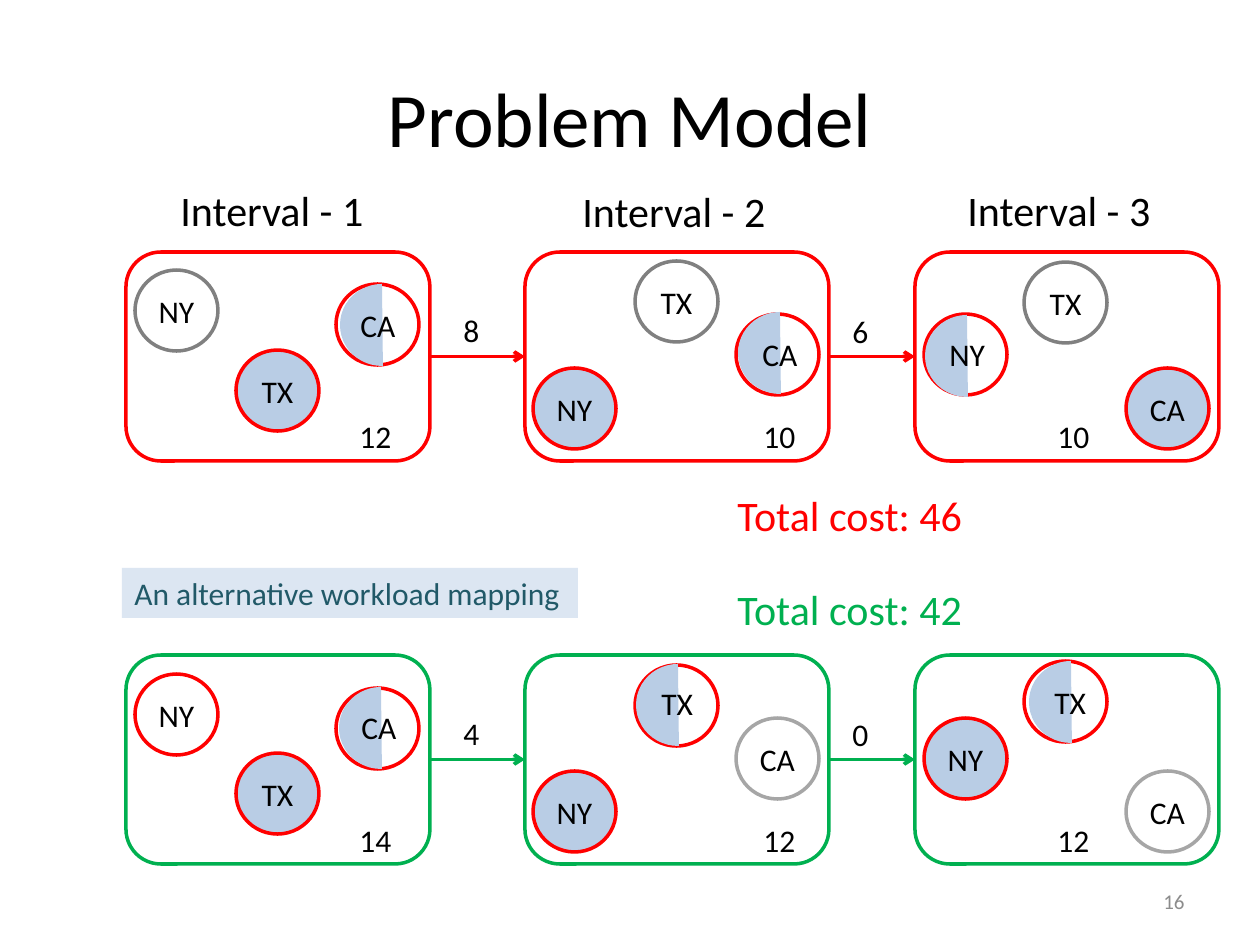
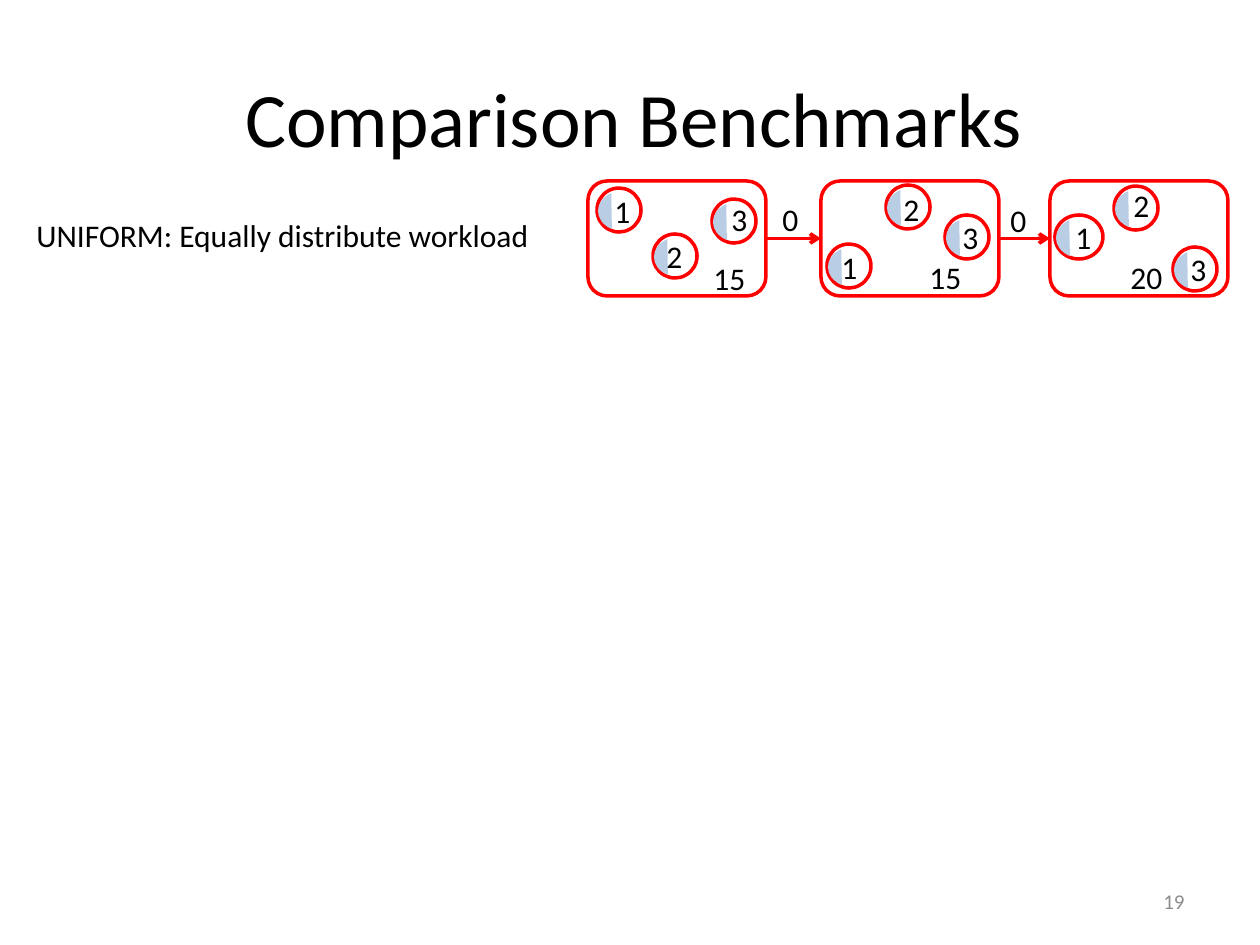
import pptx
import pptx.util
import pptx.dml.color
import pptx.enum.shapes
import pptx.enum.text
import pptx.oxml
import pptx.oxml.ns

RGBColor = pptx.dml.color.RGBColor
MSO_SHAPE = pptx.enum.shapes.MSO_SHAPE
PP_ALIGN = pptx.enum.text.PP_ALIGN
MSO_ANCHOR = pptx.enum.text.MSO_ANCHOR

PX = 914400 / 126
FONT = "Calibri"
BLACK = RGBColor(0x00, 0x00, 0x00)
WHITE = RGBColor(0xFF, 0xFF, 0xFF)
RED = RGBColor(0xFF, 0x00, 0x00)
GREEN = RGBColor(0x00, 0xB0, 0x50)
GRAY = RGBColor(0x80, 0x80, 0x80)
LIGHT_GRAY = RGBColor(0xA6, 0xA6, 0xA6)
NUMBER_GRAY = RGBColor(0x8C, 0x8C, 0x8C)
LOAD_BLUE = RGBColor(0xB9, 0xCD, 0xE5)
PALE_BLUE = RGBColor(0xDC, 0xE6, 0xF2)
TEAL = RGBColor(0x21, 0x59, 0x68)


def add_text(s, x, y, w, h, text, size=18, color=BLACK):
    box = s.shapes.add_textbox(*(round(v * PX) for v in (x, y, w, h)))
    box.text_frame.word_wrap = False
    p = box.text_frame.paragraphs[0]
    p.text = text
    p.font.name, p.font.size = FONT, pptx.util.Pt(size)
    p.font.color.rgb = color
    return box


def add_shape(s, kind, x, y, w, h, fill=None, line=None):
    sp = s.shapes.add_shape(kind, *(round(v * PX) for v in (x, y, w, h)))
    sp.shadow.inherit = False
    if fill is None:
        sp.fill.background()
    else:
        sp.fill.solid()
        sp.fill.fore_color.rgb = fill
    if line is None:
        sp.line.fill.background()
    else:
        sp.line.color.rgb = line
        sp.line.width = pptx.util.Pt(2)
    return sp


prs = pptx.Presentation()
prs.slide_width = round(1260 * PX)
prs.slide_height = round(945 * PX)

# Titles and slide numbers
slides = []
for title, title_x, number in (("Problem Model", 63, "16"),
                               ("Comparison Benchmarks", 67, "19")):
    s = prs.slides.add_slide(prs.slide_layouts[5])
    sp = s.shapes.title
    sp.left, sp.top, sp.width, sp.height = (
        round(v * PX) for v in (title_x, 38, 1134, 158))
    tf = sp.text_frame
    tf.text = title
    tf.vertical_anchor = MSO_ANCHOR.MIDDLE
    p = tf.paragraphs[0]
    p.alignment = PP_ALIGN.CENTER
    p.font.name, p.font.size = FONT, pptx.util.Pt(44)
    p.font.color.rgb = BLACK

    tf = add_text(s, 903, 876, 294, 50, number, 12, NUMBER_GRAY).text_frame
    tf.word_wrap = True
    tf.vertical_anchor = MSO_ANCHOR.MIDDLE
    tf.paragraphs[0].alignment = PP_ALIGN.RIGHT
    slides.append(s)
model, benchmarks = slides

# Chains of three intervals: slide, colour, top, box size, box lefts,
# interval costs (x, y, text), move costs (x, y, text)
chains = [
    (model, RED, 252, (304, 209), (126, 525, 915),
     [(347, 411, "12"), (751, 411, "10"), (1045, 411, "10")],
     [(451, 305, "8"), (840, 306, "6")]),
    (model, GREEN, 655, (304, 209), (126, 525, 915),
     [(347, 815, "14"), (751, 815, "12"), (1045, 815, "12")],
     [(451, 708, "4"), (840, 709, "0")]),
    (benchmarks, RED, 181, (178, 115), (588, 821, 1050),
     [(701, 253, "15"), (917, 252, "15"), (1118, 252, "20")],
     [(770, 194, "0"), (998, 195, "0")]),
]
for s, color, top, (w, h), lefts, costs, moves in chains:
    boxes = [add_shape(s, MSO_SHAPE.ROUNDED_RECTANGLE, x, top, w, h, line=color)
             for x in lefts]
    for start, end in zip(boxes, boxes[1:]):
        arrow = s.shapes.add_connector(
            pptx.enum.shapes.MSO_CONNECTOR.STRAIGHT, 0, 0, 0, 0)
        arrow.begin_connect(start, 3)
        arrow.end_connect(end, 1)
        arrow.line.color.rgb = color
        arrow.line.width = pptx.util.Pt(2)
        ns = pptx.oxml.ns.nsdecls("a")
        arrow.line._get_or_add_ln().append(
            pptx.oxml.parse_xml(f'<a:tailEnd {ns} type="arrow"/>'))
        arrow._element.spPr.append(pptx.oxml.parse_xml(f"<a:effectLst {ns}/>"))
    for x, y, text in costs:
        add_text(s, x, y, 58, 50, text)
    for x, y, text in moves:
        add_text(s, x, y, 42, 50, text)

# Sites with no load or full load: x, y, name, fill, line
whole_sites = [
    (135, 270, "NY", WHITE, GRAY), (236, 350, "TX", LOAD_BLUE, RED),
    (635, 261, "TX", WHITE, GRAY), (533, 368, "NY", LOAD_BLUE, RED),
    (1024, 262, "TX", WHITE, GRAY), (1126, 368, "CA", LOAD_BLUE, RED),
    (135, 674, "NY", WHITE, RED), (236, 753, "TX", LOAD_BLUE, RED),
    (736, 718, "CA", None, LIGHT_GRAY), (533, 771, "NY", LOAD_BLUE, RED),
    (1126, 771, "CA", None, LIGHT_GRAY), (924, 718, "NY", LOAD_BLUE, RED),
]
for x, y, name, fill, line in whole_sites:
    sp = add_shape(model, MSO_SHAPE.OVAL, x, y, 83, 81, fill, line)
    tf = sp.text_frame
    tf.margin_left = tf.margin_right = round(6 * PX)
    tf.margin_top = tf.margin_bottom = round(6 * PX)
    tf.vertical_anchor = MSO_ANCHOR.MIDDLE
    p = tf.paragraphs[0]
    p.text = name
    p.alignment = PP_ALIGN.CENTER
    p.font.name, p.font.size = FONT, pptx.util.Pt(18)
    p.font.color.rgb = BLACK

# Sites with half load: circle x, y; load x, y; name x, y; name
half_sites = [
    (336, 284, 340, 284, 348, 300, "CA"),
    (736, 314, 738, 312, 750, 329, "CA"),
    (924, 314, 925, 315, 937, 329, "NY"),
    (336, 688, 339, 687, 349, 702, "CA"),
    (635, 665, 636, 664, 649, 678, "TX"),
    (1024, 661, 1029, 661, 1042, 677, "TX"),
]
for x, y, load_x, load_y, name_x, name_y, name in half_sites:
    add_shape(model, MSO_SHAPE.OVAL, x, y, 83, 81, WHITE, RED)
    load = add_shape(model, MSO_SHAPE.CHORD, load_x, load_y, 84, 82, LOAD_BLUE)
    load.adjustments[0], load.adjustments[1] = 53.22, 162
    add_text(model, name_x, name_y, 61, 50, name)

# Interval headings, totals and the label of the second mapping
for i, (x, y) in enumerate([(168, 178), (570, 179), (955, 178)], 1):
    add_text(model, x, y, 210, 63, f"Interval - {i}", 24)
add_text(model, 725, 483, 252, 63, "Total cost: 46", 24, RED)
add_text(model, 725, 577, 252, 63, "Total cost: 42", 24, GREEN)
label = add_text(model, 122, 568, 456, 50, "An alternative workload mapping",
                 color=TEAL)
label.fill.solid()
label.fill.fore_color.rgb = PALE_BLUE

# Uniform benchmark: circle x, y, width; number x, y; number
add_text(benchmarks, 24, 210, 523, 50, "UNIFORM: Equally distribute workload")
uniform_sites = [
    (597, 188, 44, 602, 186, "1"), (653, 234, 44, 654, 231, "2"),
    (712, 199, 44, 719, 194, "3"), (886, 185, 44, 891, 184, "2"),
    (945, 215, 44, 950, 212, "3"), (827, 244, 44, 829, 242, "1"),
    (1114, 186, 44, 1121, 180, "2"), (1173, 247, 44, 1178, 244, "3"),
    (1055, 215, 48, 1063, 212, "1"),
]
for x, y, w, number_x, number_y, number in uniform_sites:
    add_shape(benchmarks, MSO_SHAPE.OVAL, x, y, w, 44, WHITE, RED)
    load = add_shape(benchmarks, MSO_SHAPE.CHORD, x + 1, y + 3, 49, 40, LOAD_BLUE)
    load.adjustments[0], load.adjustments[1] = 72.2, 142.64
    add_text(benchmarks, number_x, number_y, 42, 50, number)

prs.save("out.pptx")
